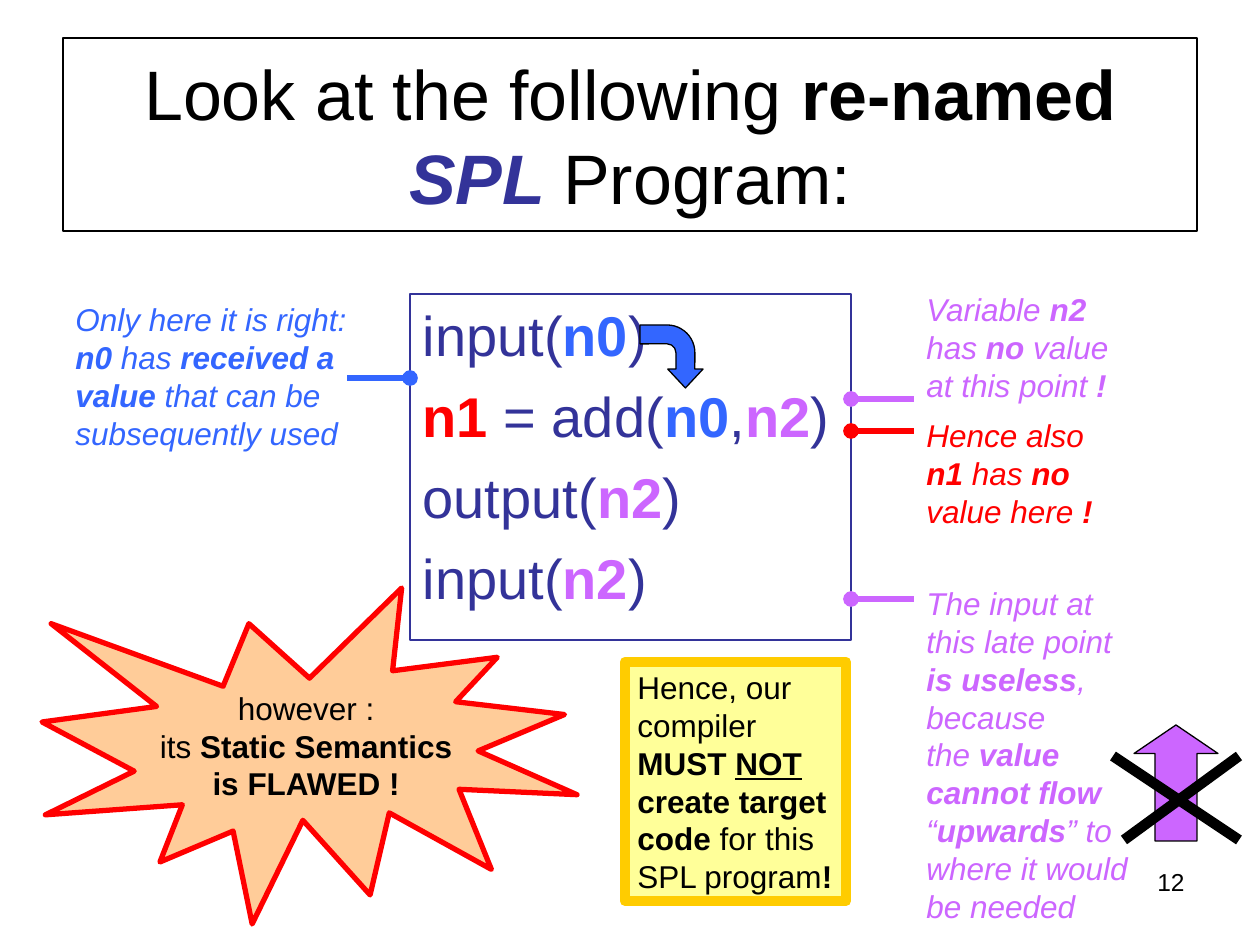
from lxml.etree import SubElement
from pptx import Presentation
from pptx.dml.color import RGBColor
from pptx.enum.shapes import MSO_CONNECTOR, MSO_SHAPE
from pptx.enum.text import MSO_ANCHOR, MSO_AUTO_SIZE, PP_ALIGN
from pptx.oxml.ns import qn
from pptx.util import Pt

PX = 914400 / 126  # EMU in one px

BLACK = RGBColor(0x00, 0x00, 0x00)
NAVY = RGBColor(0x33, 0x33, 0x99)
BLUE = RGBColor(0x33, 0x66, 0xFF)
RED = RGBColor(0xFF, 0x00, 0x00)
VIOLET = RGBColor(0xCC, 0x66, 0xFF)
PEACH = RGBColor(0xFF, 0xCC, 0x99)
CREAM = RGBColor(0xFF, 0xFF, 0x99)
GOLD = RGBColor(0xFF, 0xCC, 0x00)

BOLD = {"bold": True}
BOLD_N0, BOLD_N1, BOLD_N2 = (
    {"bold": True, "color": color} for color in (BLUE, RED, VIOLET))


def px(*lengths):
    return [round(length * PX) for length in lengths]


def write(frame, lines, size, color, align=PP_ALIGN.LEFT, wrap=False, italic=False):
    """Fill a frame; each line is a list of plain strings and (text, format) pairs."""
    frame.word_wrap = wrap
    frame.auto_size = MSO_AUTO_SIZE.NONE
    for number, line in enumerate(lines):
        paragraph = frame.add_paragraph() if number else frame.paragraphs[0]
        paragraph.alignment = align
        for piece in line:
            text, extra = (piece, {}) if isinstance(piece, str) else piece
            run = paragraph.add_run()
            run.text = text
            values = {"name": "Arial", "size": Pt(size), "bold": False,
                      "italic": italic, "color": color, **extra}
            run.font.color.rgb = values.pop("color")
            for key, value in values.items():
                setattr(run.font, key, value)


deck = Presentation()
deck.slide_width, deck.slide_height = px(1260, 945)
slide = deck.slides.add_slide(deck.slide_layouts[1])
shapes = slide.shapes

# Title and program listing
title, program = slide.placeholders
for holder, place, edge in ((title, (63, 38, 1134, 193), BLACK),
                            (program, (410, 294, 441, 346), NAVY)):
    holder.left, holder.top, holder.width, holder.height = px(*place)
    holder.line.color.rgb = edge
    holder.line.width = Pt(0.75)

title.text_frame.vertical_anchor = MSO_ANCHOR.MIDDLE
write(title.text_frame, [[
    "Look at the following ", ("re-named ", BOLD),
    ("SPL ", {"bold": True, "italic": True, "color": NAVY}), "Program:",
]], 40, BLACK, PP_ALIGN.CENTER, wrap=True)

write(program.text_frame, [
    ["input(", ("n0", BOLD_N0), ")"],
    [("n1", BOLD_N1), " = add(", ("n0", BOLD_N0), ",", ("n2", BOLD_N2), ")"],
    ["output(", ("n2", BOLD_N2), ")"],
    ["input(", ("n2", BOLD_N2), ")"],
], 32, NAVY, wrap=True)
for statement in program.text_frame.paragraphs:
    statement.space_before = Pt(8)
    properties = statement._p.get_or_add_pPr()
    properties.set("marL", "342900")
    properties.set("indent", "-342900")
    SubElement(properties, qn("a:buNone"))

# Starburst, value-flow arrow, upward arrow and verdict box
drawn = []
for preset, place, fill, edge, weight in (
        (MSO_SHAPE.EXPLOSION1, (42, 588, 535, 336), PEACH, RED, 3),
        (MSO_SHAPE.BENT_ARROW, (640, 325, 63, 63), BLUE, BLACK, 0.75),
        (MSO_SHAPE.UP_ARROW, (1134, 725, 84, 116), VIOLET, BLACK, 0.75),
        (MSO_SHAPE.RECTANGLE, (625, 662, 221, 239), CREAM, GOLD, 6)):
    shape = shapes.add_shape(preset, *px(*place))
    shape.shadow.inherit = False
    shape.fill.solid()
    shape.fill.fore_color.rgb = fill
    shape.line.color.rgb = edge
    shape.line.width = Pt(weight)
    drawn.append(shape)
starburst, value_flow, upward, verdict = drawn

value_flow.rotation = 90
for index, ratio in enumerate((0.3, 0.28, 0.3, 0.44)):
    value_flow.adjustments[index] = ratio
upward.adjustments[1] = 0.34

starburst.text_frame.vertical_anchor = MSO_ANCHOR.MIDDLE
write(starburst.text_frame, [
    ["however :"],
    ["its ", ("Static Semantics", BOLD)],
    [("is FLAWED !", BOLD)],
], 18, BLACK, PP_ALIGN.CENTER)

verdict.text_frame.vertical_anchor = MSO_ANCHOR.TOP
write(verdict.text_frame, [
    ["Hence, our"],
    ["compiler"],
    [("MUST ", BOLD), ("NOT", {"bold": True, "underline": True})],
    [("create target", BOLD)],
    [("code", BOLD), " for this"],
    ["SPL program", ("!", BOLD)],
], 18, BLACK)

# Remarks beside the program
for place, color, lines in (
    ((63, 294, 296, 164), BLUE, [
        ["Only here it is right:"],
        [("n0", BOLD), " has ", ("received a", BOLD)],
        [("value", BOLD), " that can be"],
        ["subsequently used"]]),
    ((914, 284, 207, 126), VIOLET, [
        ["Variable ", ("n2", BOLD)],
        ["has ", ("no ", BOLD), "value"],
        ["at this point ", ("!", BOLD)]]),
    ((914, 410, 192, 126), RED, [
        ["Hence also"],
        [("n1", BOLD), " has ", ("no", BOLD)],
        ["value here ", ("!", BOLD)]]),
    ((914, 578, 234, 353), VIOLET, [
        ["The input at"],
        ["this late point"],
        [("is useless", BOLD), ","],
        ["because"],
        ["the ", ("value", BOLD)],
        [("cannot flow", BOLD)],
        ["“", ("upwards", BOLD), "” to"],
        ["where it would"],
        ["be needed"]]),
):
    remark = shapes.add_textbox(*px(*place))
    write(remark.text_frame, lines, 18, color, italic=True)

# Pointers with a dot on the program frame, then the cross over the upward arrow
for ends, color, weight, dotted in (
        ((410, 378, 347, 378), BLUE, 3, True),
        ((851, 399, 914, 399), VIOLET, 3, True),
        ((851, 431, 914, 431), RED, 3, True),
        ((851, 599, 914, 599), VIOLET, 3, True),
        ((1113, 756, 1239, 840), BLACK, 6, False),
        ((1124, 840, 1239, 756), BLACK, 6, False)):
    stroke = shapes.add_connector(MSO_CONNECTOR.STRAIGHT, *px(*ends))
    stroke.line.color.rgb = color
    stroke.line.width = Pt(weight)
    if dotted:
        SubElement(stroke.line._get_or_add_ln(), qn("a:headEnd"), type="oval")
    SubElement(stroke._element.spPr, qn("a:effectLst"))

# Page number
page_number = shapes.add_textbox(*px(903, 861, 294, 66))
write(page_number.text_frame, [["12"]], 14, BLACK, PP_ALIGN.RIGHT, wrap=True)

deck.save("out.pptx")
